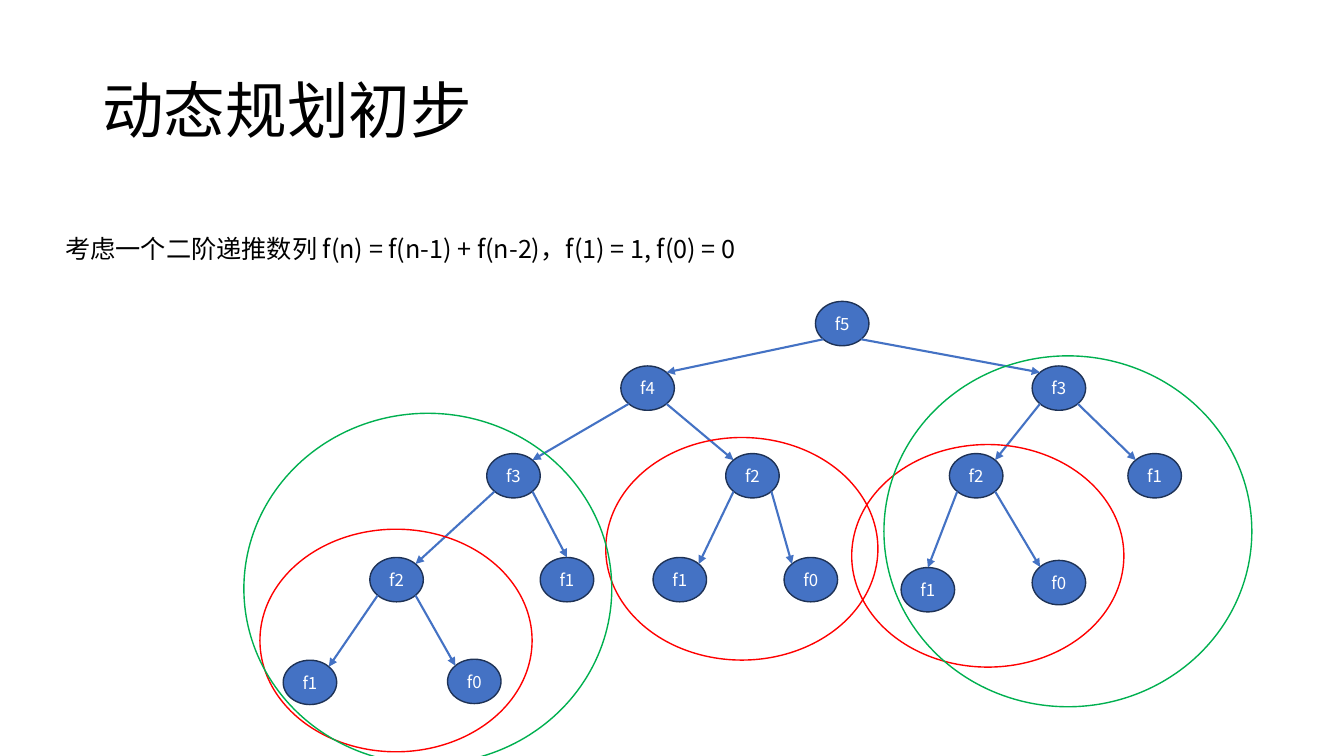
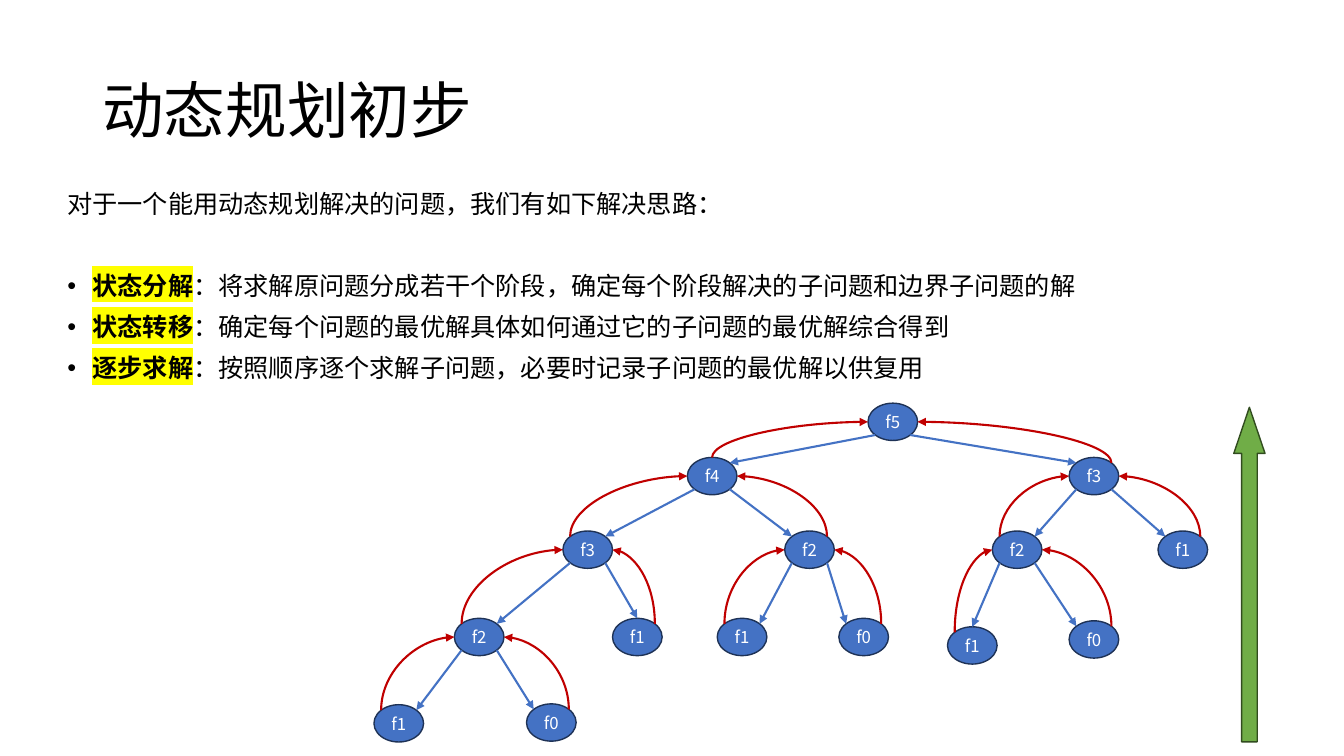
from collections import namedtuple
from math import sqrt

from lxml import etree
from pptx import Presentation
from pptx.dml.color import RGBColor
from pptx.enum import shapes, text
from pptx.oxml import ns
from pptx.util import Pt

FONT = "Noto Sans CJK SC"
BLACK, WHITE = "000000", "FFFFFF"
BLUE, NAVY = "4472C4", "1E3256"
RED, GREEN, DARK_RED = "FF0000", "00B050", "C00000"
ARROW_FILL, ARROW_LINE = "70AD47", "314C1F"
YELLOW = "FFFF00"

TITLE = "动态规划初步"
TITLE_BOX = (66, 28.8, 828, 104.4)

Node = namedtuple("Node", "label x y parent side enter leave", defaults=("diagonal", "diagonal"))

# Positions are measured on a grid of this size and scaled to the box of the tree.
TREE_GRID = (641.6, 288)
NODE_SIZE = (38.2, 31.7)
LEFT, RIGHT = -1, 1
TREE = [
    Node("f5", 380.2, 0, None, None),
    Node("f4", 241.2, 46.1, 0, LEFT, leave="top"),
    Node("f3", 535, 46.1, 0, RIGHT),
    Node("f3", 145.4, 108.7, 1, LEFT),
    Node("f2", 316.1, 108.7, 1, RIGHT),
    Node("f2", 475.9, 108.7, 2, LEFT),
    Node("f1", 603.4, 108.7, 2, RIGHT),
    Node("f2", 61.9, 182.9, 3, LEFT),
    Node("f1", 183.6, 182.9, 3, RIGHT, enter="top"),
    Node("f1", 264.2, 182.9, 4, LEFT),
    Node("f0", 357.8, 182.9, 4, RIGHT),
    Node("f1", 441.4, 190.1, 5, LEFT, enter="top"),
    Node("f0", 535, 185, 5, RIGHT),
    Node("f1", 0, 256.3, 7, LEFT),
    Node("f0", 117.4, 255.6, 7, RIGHT),
]

RED_SIZE, GREEN_SIZE = (194.4, 159), (262.8, 250.6)
REPEATS = [
    (RED, RED_SIZE, [(-16.6, 162.7), (230.4, 97.2), (406.1, 102.2)]),
    (GREEN, GREEN_SIZE, [(-28.1, 79.9), (429.1, 38.9)]),
]

STEPS = [
    ("状态分解", "：将求解原问题分成若干个阶段，确定每个阶段解决的子问题和边界子问题的解"),
    ("状态转移", "：确定每个问题的最优解具体如何通过它的子问题的最优解综合得到"),
    ("逐步求解", "：按照顺序逐个求解子问题，必要时记录子问题的最优解以供复用"),
]


def colour(value):
    return RGBColor.from_string(value)


def points(values):
    return [Pt(value) for value in values]


def add_xml(parent, tag, **attributes):
    return etree.SubElement(parent, ns.qn(tag), attributes)


def format_run(run, size, fill=BLACK, bold=False):
    run.font.size = Pt(size)
    run.font.bold = bold
    run.font.color.rgb = colour(fill)
    run.font.name = FONT
    add_xml(run.font._element, "a:ea", typeface=FONT)


def highlight(run, fill):
    mark = etree.Element(ns.qn("a:highlight"))
    add_xml(mark, "a:srgbClr", val=fill)
    run.font._element.find(ns.qn("a:solidFill")).addnext(mark)


def add_bullet(paragraph, indent):
    properties = paragraph._p.get_or_add_pPr()
    properties.set("marL", str(Pt(indent)))
    properties.set("indent", str(-Pt(indent)))
    add_xml(properties, "a:buFont", typeface="Arial")
    add_xml(properties, "a:buChar", char="•")


def add_text_box(slide, box, content, size, anchor=text.MSO_ANCHOR.TOP):
    text_frame = slide.shapes.add_textbox(*points(box)).text_frame
    text_frame.word_wrap = True
    text_frame.vertical_anchor = anchor
    text_frame.text = content
    format_run(text_frame.paragraphs[0].runs[0], size)
    return text_frame


def add_filled_shape(slide, kind, box, fill, line):
    shape = slide.shapes.add_shape(kind, *points(box))
    shape.shadow.inherit = False
    if fill:
        shape.fill.solid()
        shape.fill.fore_color.rgb = colour(fill)
    else:
        shape.fill.background()
    shape.line.color.rgb = colour(line)
    shape.line.width = Pt(1)
    return shape


def add_arrow(slide, kind, start, end, line, arrow_end):
    """Draw a connector with its arrowhead at headEnd (start) or tailEnd (end)."""
    connector = slide.shapes.add_connector(kind, *points(start + end))
    connector.line.color.rgb = colour(line)
    connector.line.width = Pt(1.5)
    add_xml(connector.line._get_or_add_ln(), f"a:{arrow_end}", type="triangle")
    add_xml(connector.element.spPr, "a:effectLst")
    return connector


def rim(box, across, down):
    """Point on an ellipse in the direction (across, down) from its centre."""
    left, top, width, height = box
    reach = sqrt(across ** 2 + down ** 2) * 2
    return left + width / 2 + across * width / reach, top + height / 2 + down * height / reach


def add_tree(slide, box, with_returns=False):
    left, top, width, height = box
    scale_x, scale_y = width / TREE_GRID[0], height / TREE_GRID[1]
    boxes = [(left + node.x * scale_x, top + node.y * scale_y,
              NODE_SIZE[0] * scale_x, NODE_SIZE[1] * scale_y) for node in TREE]
    for node, node_box in zip(TREE, boxes):
        shape = add_filled_shape(slide, shapes.MSO_SHAPE.OVAL, node_box, BLUE, NAVY)
        text_frame = shape.text_frame
        text_frame.word_wrap = False
        text_frame.vertical_anchor = text.MSO_ANCHOR.MIDDLE
        text_frame.text = node.label
        paragraph = text_frame.paragraphs[0]
        paragraph.alignment = text.PP_ALIGN.CENTER
        format_run(paragraph.runs[0], 12, WHITE)

    children = [(node, node_box, boxes[node.parent])
                for node, node_box in zip(TREE, boxes) if node.parent is not None]
    for node, child, parent in children:
        across = 0 if node.enter == "top" else -node.side
        add_arrow(slide, shapes.MSO_CONNECTOR.STRAIGHT,
                  rim(parent, node.side, 1), rim(child, across, -1), BLUE, "tailEnd")
    if with_returns:
        for node, child, parent in children:
            across = 0 if node.leave == "top" else node.side
            curve = add_arrow(slide, shapes.MSO_CONNECTOR.CURVE,
                              rim(parent, node.side, 0), rim(child, across, -1),
                              DARK_RED, "headEnd")
            curve.element.spPr.find(ns.qn("a:prstGeom")).set("prst", "curvedConnector2")


def add_repeat_circles(slide, box):
    """Ring the subtrees that are computed more than once."""
    for line, size, corners in REPEATS:
        for x, y in corners:
            add_filled_shape(slide, shapes.MSO_SHAPE.OVAL,
                             (box[0] + x, box[1] + y, *size), None, line)


def add_steps(slide, box):
    text_frame = add_text_box(slide, box, "对于一个能用动态规划解决的问题，我们有如下解决思路：", 18)
    for index, (term, explanation) in enumerate(STEPS):
        paragraph = text_frame.add_paragraph()
        paragraph.space_before = Pt(10 if index else 39)
        add_bullet(paragraph, 18)
        for content, is_term in ((term, True), (explanation, False)):
            run = paragraph.add_run()
            run.text = content
            format_run(run, 18, bold=is_term)
            if is_term:
                highlight(run, YELLOW)
    text_frame.paragraphs[0].space_before = Pt(10)
    for paragraph in text_frame.paragraphs:
        paragraph.line_spacing = 0.9


def add_titled_slide(presentation):
    slide = presentation.slides.add_slide(presentation.slide_layouts[6])
    text_frame = add_text_box(slide, TITLE_BOX, TITLE, 44, text.MSO_ANCHOR.MIDDLE)
    text_frame.paragraphs[0].line_spacing = 0.9
    return slide


def build_recursion_slide(presentation):
    slide = add_titled_slide(presentation)
    tree_box = (202.3, 215.3, 641.6, 288)
    add_tree(slide, tree_box)
    add_text_box(slide, (39.6, 163.4, 501, 28.8),
                 "考虑一个二阶递推数列 f(n) = f(n-1) + f(n-2)，f(1) = 1, f(0) = 0", 18)
    add_repeat_circles(slide, tree_box)


def build_method_slide(presentation):
    slide = add_titled_slide(presentation)
    add_steps(slide, (41, 133.2, 828, 342.7))
    add_tree(slide, (267.1, 288, 595.5, 242), with_returns=True)
    arrow = add_filled_shape(slide, shapes.MSO_SHAPE.UP_ARROW, (881.3, 290.9, 22.3, 239),
                             ARROW_FILL, ARROW_LINE)
    arrow.adjustments[0] = 0.5
    arrow.adjustments[1] = 1.48


def main():
    presentation = Presentation()
    presentation.slide_width, presentation.slide_height = Pt(960), Pt(540)
    build_recursion_slide(presentation)
    build_method_slide(presentation)
    presentation.save("out.pptx")


if __name__ == "__main__":
    main()
